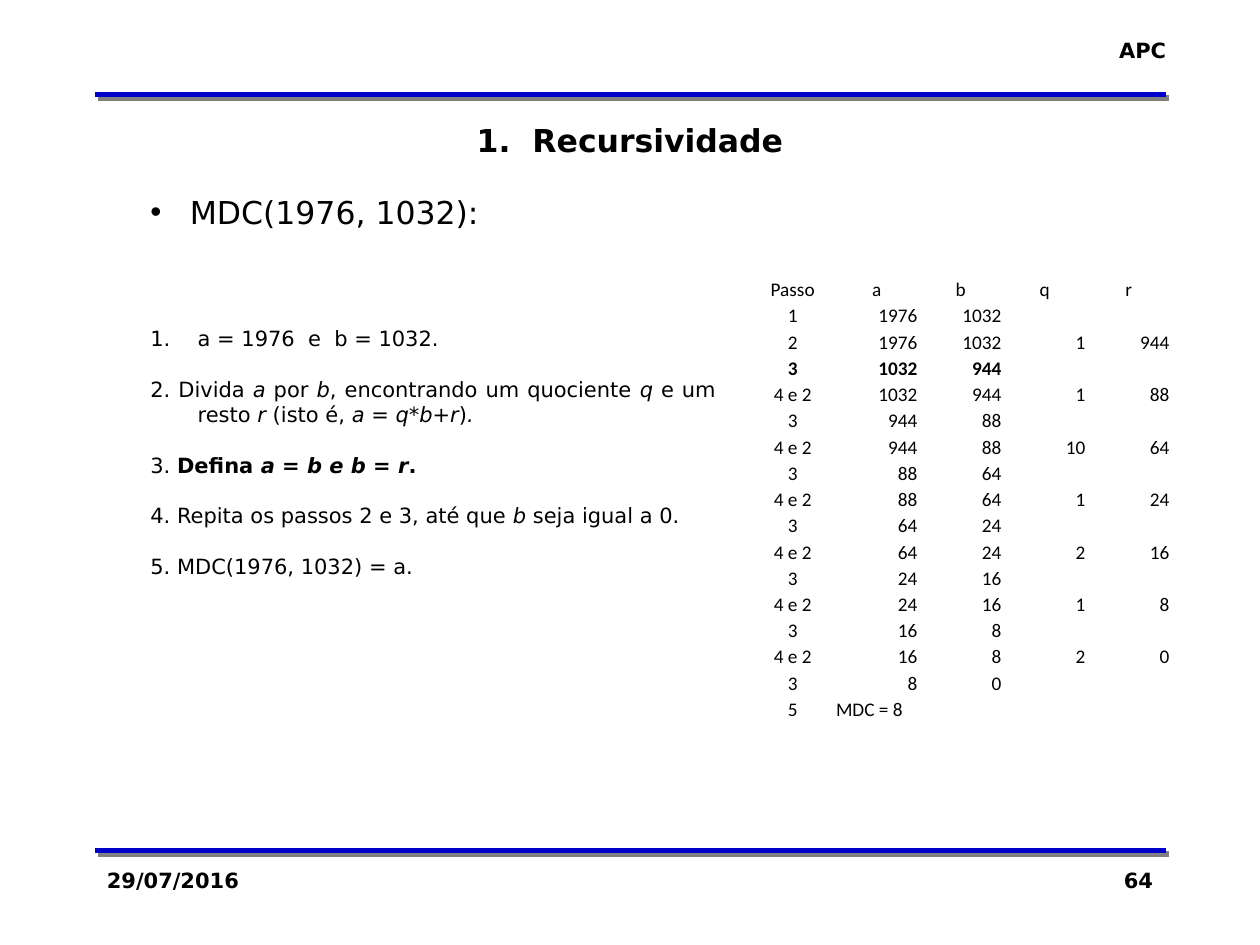
"""Build the slide that traces the recursive greatest common divisor of 1976 and 1032."""
from dataclasses import dataclass

import lxml.etree
import pptx
import pptx.dml.color
import pptx.enum.shapes
import pptx.enum.text
import pptx.oxml.ns
import pptx.util

ALIGN = pptx.enum.text.PP_ALIGN
ANCHOR = pptx.enum.text.MSO_ANCHOR
BLACK = pptx.dml.color.RGBColor(0x00, 0x00, 0x00)
BLUE = pptx.dml.color.RGBColor(0x00, 0x00, 0xCC)
GRAY = pptx.dml.color.RGBColor(0x80, 0x80, 0x80)
TEXT_FONT = "DejaVu Sans"
TABLE_FONT = "Calibri"
EMU_PER_PX = 9525
COLUMN_WIDTH, ROW_HEIGHT = 64, 20


@dataclass(frozen=True)
class Box:
    left: int
    top: int
    width: int
    height: int

    def emu(self) -> tuple:
        return tuple(px(value) for value in (self.left, self.top, self.width, self.height))


@dataclass(frozen=True)
class Run:
    text: str
    italic: bool = False
    bold: bool = False


@dataclass(frozen=True)
class Item:
    runs: tuple
    size: int = 12
    space_before: float = 14.6
    indent: int = 36
    bullet: str = "buNone"
    bullet_value: tuple = ()


ITEMS = (
    Item((Run("MDC(1976, 1032):"),), 18, 0, 30, "buChar", ("char", "•")),
    Item((Run("a = 1976  e  b = 1032."),), space_before=54.3,
         bullet="buAutoNum", bullet_value=("type", "arabicPeriod")),
    Item((Run("2. Divida "), Run("a", True), Run(" por "), Run("b", True),
          Run(", encontrando um quociente "), Run("q", True), Run(" e um resto "),
          Run("r", True), Run(" (isto é, "), Run("a = q*b+r", True), Run(")"),
          Run(".", True))),
    Item((Run("3. "), Run("Defina ", bold=True), Run("a = b e b = r", True, True),
          Run(".", bold=True))),
    Item((Run("4. Repita os passos 2 e 3, até que "), Run("b", True),
          Run(" seja igual a 0."))),
    Item((Run("5. MDC(1976, 1032) = a."),)),
)


def px(value: int) -> int:
    return pptx.util.Emu(value * EMU_PER_PX)


def add_element(parent, tag: str, **attributes):
    element = lxml.etree.SubElement(parent, pptx.oxml.ns.qn(f"a:{tag}"))
    for name, value in attributes.items():
        element.set(name, value)
    return element


def write_text(paragraph, text: str, *, size: int = 12, font: str = TEXT_FONT,
               bold: bool = False, italic: bool = False, align=ALIGN.LEFT) -> None:
    paragraph.alignment = align
    run = paragraph.add_run()
    run.text = text
    run.font.size = pptx.util.Pt(size)
    run.font.name = font
    run.font.bold = bold
    run.font.italic = italic
    run.font.color.rgb = BLACK


def add_rule(slide, y: int) -> None:
    line = slide.shapes.add_connector(
        pptx.enum.shapes.MSO_CONNECTOR.STRAIGHT, px(72), px(y), px(888), px(y))
    line.line.color.rgb = BLUE
    line.line.width = pptx.util.Pt(3)
    effects = add_element(line._element.spPr, "effectLst")
    shadow = add_element(effects, "outerShdw", dist=str(pptx.util.Pt(2.8)),
                         dir="2700000", algn="ctr", rotWithShape="0")
    add_element(shadow, "srgbClr", val=str(GRAY))


def add_label(slide, text: str, box: Box, *, align=ALIGN.LEFT, wrap: bool = True) -> None:
    frame = slide.shapes.add_textbox(*box.emu()).text_frame
    frame.word_wrap = wrap
    write_text(frame.paragraphs[0], text, bold=True, align=align)


def place(shape, box: Box):
    shape.left, shape.top, shape.width, shape.height = box.emu()
    shape.text_frame.word_wrap = True
    shape.text_frame.auto_size = pptx.enum.text.MSO_AUTO_SIZE.NONE
    return shape.text_frame


def fill_list(frame, items: tuple) -> None:
    frame.vertical_anchor = ANCHOR.TOP
    for index, item in enumerate(items):
        paragraph = frame.add_paragraph() if index else frame.paragraphs[0]
        properties = paragraph._p.get_or_add_pPr()
        properties.set("marL", str(px(item.indent)))
        properties.set("indent", str(-px(item.indent)))
        add_element(properties, item.bullet,
                    **(dict([item.bullet_value]) if item.bullet_value else {}))
        paragraph.line_spacing = 1.0
        paragraph.space_before = pptx.util.Pt(item.space_before)
        for run in item.runs:
            write_text(paragraph, run.text, size=item.size, bold=run.bold,
                       italic=run.italic, align=ALIGN.JUSTIFY)


def trace_divisor(a: int, b: int) -> list:
    rows = [("Passo", "a", "b", "q", "r"), (1, a, b)]
    step = "2"
    while b:
        quotient, remainder = divmod(a, b)
        rows.append((step, a, b, quotient, remainder))
        a, b = b, remainder
        rows.append((3, a, b))
        step = "4 e 2"
    return rows + [(5, f"MDC = {a}"), ()]


def add_trace_table(slide, rows: list, left: int, top: int, bold_row: int) -> None:
    columns = len(rows[0])
    box = Box(left, top, columns * COLUMN_WIDTH, len(rows) * ROW_HEIGHT)
    table = slide.shapes.add_table(len(rows), columns, *box.emu()).table
    table.first_row = table.horz_banding = False
    for row_index, values in enumerate(rows):
        table.rows[row_index].height = px(ROW_HEIGHT)
        for column in range(columns):
            cell = table.cell(row_index, column)
            cell.fill.background()
            cell.vertical_anchor = ANCHOR.BOTTOM
            cell.margin_left = cell.margin_right = cell.margin_top = px(1)
            cell.margin_bottom = 0
            paragraph = cell.text_frame.paragraphs[0]
            if column >= len(values):
                add_element(paragraph._p, "endParaRPr", sz="1100")
                continue
            value = values[column]
            if row_index == 0 or column == 0:
                align = ALIGN.CENTER
            else:
                align = ALIGN.RIGHT if isinstance(value, int) else ALIGN.LEFT
            write_text(paragraph, str(value), size=11, font=TABLE_FONT,
                       bold=row_index == bold_row, align=align)


def main() -> None:
    presentation = pptx.Presentation()
    presentation.slide_width, presentation.slide_height = px(960), px(720)
    slide = presentation.slides.add_slide(presentation.slide_layouts[1])
    for y in (648, 72):
        add_rule(slide, y)
    add_label(slide, "APC", Box(842, 24, 56, 29), align=ALIGN.RIGHT, wrap=False)
    add_label(slide, "29/07/2016", Box(72, 656, 200, 48))
    add_label(slide, "64", Box(688, 656, 200, 48), align=ALIGN.RIGHT)
    title = place(slide.shapes.title, Box(72, 88, 816, 38))
    write_text(title.paragraphs[0], "1.  Recursividade", size=18, bold=True,
               align=ALIGN.CENTER)
    fill_list(place(slide.placeholders[1], Box(105, 142, 450, 333)), ITEMS)
    add_trace_table(slide, trace_divisor(1976, 1032), 572, 210, bold_row=3)
    presentation.save("out.pptx")


if __name__ == "__main__":
    main()
